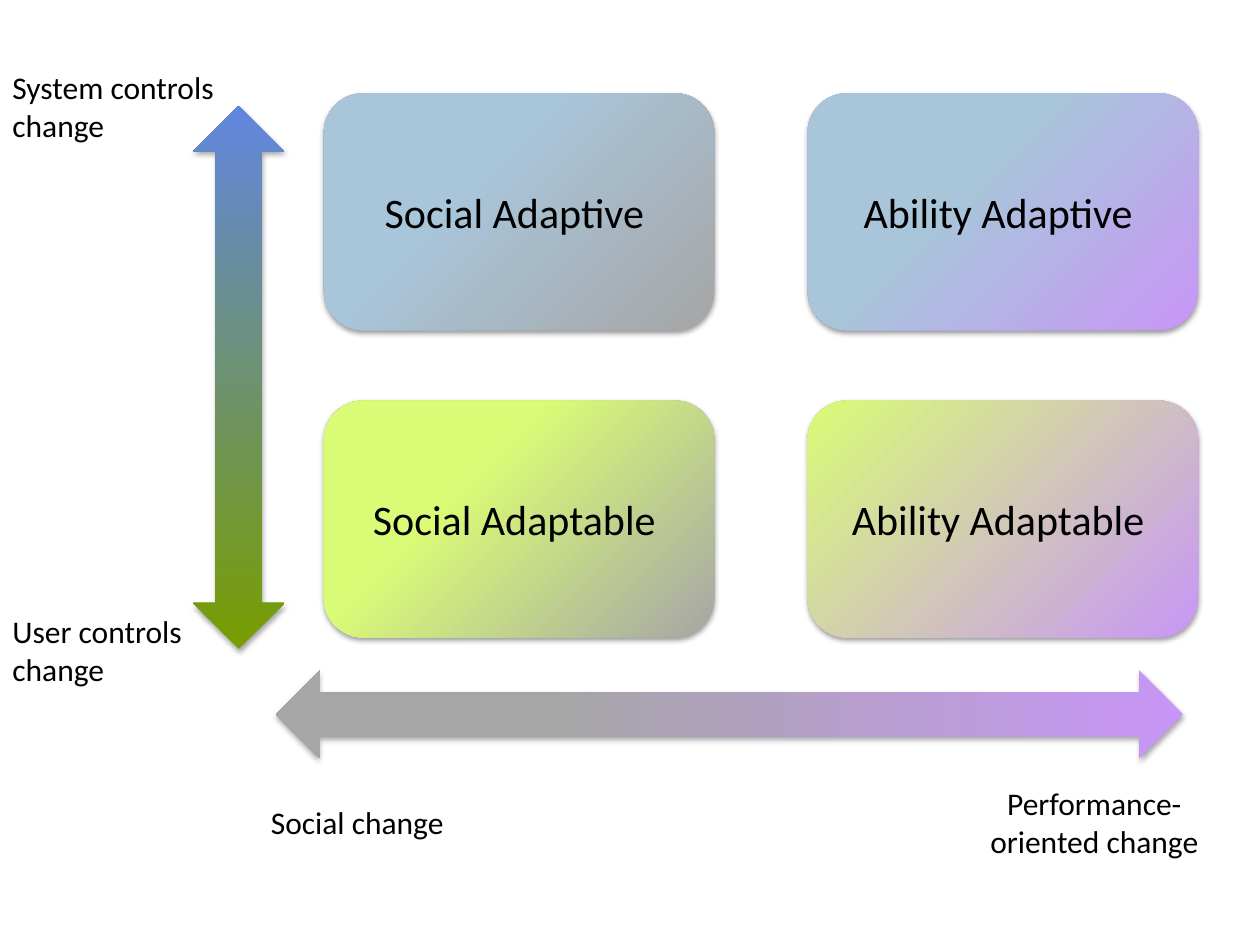
from dataclasses import dataclass
from typing import Optional

from pptx import Presentation
from pptx import util as u
from pptx.dml.color import RGBColor
from pptx.enum import shapes, text
from pptx.oxml import parse_xml
from pptx.oxml.ns import nsdecls

COLORS = {
    "black": "000000", "white": "FFFFFF", "sky": "A8C5DA", "gray": "A6A6A6",
    "lime": "DAFB76", "violet": "C896F6", "green": "779D00", "blue": "6286E0",
}
FONT = "Calibri"
SLIDE_W, SLIDE_H = u.Inches(10), u.Inches(7.5)
CARD_LEFT, CARD_TOP, CARD_W, CARD_H = 25.7, 9.87, 31, 25.07
COLUMN_STEP, ROW_STEP = 38.4, 32.53
LABEL_W, LABEL_H = 18.9, 8.27
CIRCLE = '<a:path path="circle"><a:fillToRect r="100000" b="100000"/></a:path>'


@dataclass
class Card:
    text: str
    column: int
    row: int
    start: str
    end: str
    start_stop: int


@dataclass
class Label:
    text: str
    left: float
    top: float
    align: text.PP_ALIGN
    fill: Optional[str] = None
    line: Optional[str] = None


@dataclass
class Arrow:
    kind: shapes.MSO_SHAPE
    box: tuple
    start: str
    end: str
    end_stop: int
    angle: int


CARDS = [
    Card("Social Adaptive ", 0, 0, "sky", "gray", 37),
    Card("Social Adaptable ", 0, 1, "lime", "gray", 35),
    Card("Ability Adaptable ", 1, 1, "lime", "violet", 0),
    Card("Ability Adaptive ", 1, 0, "sky", "violet", 40),
]
LABELS = [
    Label("System controls change", 0, 7.07, text.PP_ALIGN.LEFT),
    Label("User controls change", 0, 64.67, text.PP_ALIGN.LEFT, line="white"),
    Label("Social change", 18.9, 82.8, text.PP_ALIGN.CENTER, fill="white"),
    Label("Performance-oriented change", 77.4, 82.8, text.PP_ALIGN.CENTER, fill="white"),
]
ARROWS = [
    Arrow(shapes.MSO_SHAPE.UP_DOWN_ARROW, (15.3, 11.2, 7.3, 57.47), "green", "blue", 100, 270),
    Arrow(shapes.MSO_SHAPE.LEFT_RIGHT_ARROW, (21.9, 70.93, 72, 9.33), "violet", "gray", 70, 180),
]


def place(left: float, top: float, width: float, height: float) -> list:
    sides = ((left, SLIDE_W), (top, SLIDE_H), (width, SLIDE_W), (height, SLIDE_H))
    return [u.Emu(round(share * side / 100)) for share, side in sides]


def rgb(name: str) -> RGBColor:
    return RGBColor.from_string(COLORS[name])


def set_gradient(sp, stops: list, direction: str) -> None:
    sp.fill.solid()
    stop_xml = "".join(
        f'<a:gs pos="{pos * 1000}"><a:srgbClr val="{COLORS[name]}"/></a:gs>'
        for pos, name in stops)
    spPr = sp._element.spPr
    spPr.replace(spPr.solidFill, parse_xml(
        f'<a:gradFill {nsdecls("a")} rotWithShape="1">'
        f'<a:gsLst>{stop_xml}</a:gsLst>{direction}</a:gradFill>'))


def set_shadow(sp, opacity: int, distance: float) -> None:
    sp.shadow.inherit = False
    sp._element.spPr.effectLst.append(parse_xml(
        f'<a:outerShdw {nsdecls("a")} blurRad="{u.Pt(3.1)}" dist="{u.Pt(distance)}" '
        f'dir="5400000" rotWithShape="0"><a:srgbClr val="{COLORS["black"]}">'
        f'<a:alpha val="{opacity * 1000}"/></a:srgbClr></a:outerShdw>'))


def write(sp, words: str, size: int, align: text.PP_ALIGN) -> None:
    tf = sp.text_frame
    tf.word_wrap = True
    tf.vertical_anchor = text.MSO_ANCHOR.MIDDLE
    p = tf.paragraphs[0]
    p.text = words
    p.alignment = align
    p.font.name, p.font.size = FONT, u.Pt(size)
    p.font.color.rgb = rgb("black")


def draw_card(s, card: Card) -> None:
    box = place(CARD_LEFT + card.column * COLUMN_STEP,
                CARD_TOP + card.row * ROW_STEP, CARD_W, CARD_H)
    sp = s.shapes.add_shape(shapes.MSO_SHAPE.ROUNDED_RECTANGLE, *box)
    set_gradient(sp, [(card.start_stop, card.start), (100, card.end)], CIRCLE)
    sp.line.fill.background()
    set_shadow(sp, 38, 1.6)
    write(sp, card.text, 24, text.PP_ALIGN.CENTER)


def draw_label(s, label: Label) -> None:
    sp = s.shapes.add_textbox(*place(label.left, label.top, LABEL_W, LABEL_H))
    if label.fill:
        sp.fill.solid()
        sp.fill.fore_color.rgb = rgb(label.fill)
    if label.line:
        sp.line.color.rgb = rgb(label.line)
        sp.line.width = u.Pt(2)
    write(sp, label.text, 18, label.align)


def draw_arrow(s, arrow: Arrow) -> None:
    sp = s.shapes.add_shape(arrow.kind, *place(*arrow.box))
    set_gradient(sp, [(0, arrow.start), (arrow.end_stop, arrow.end)],
                 f'<a:lin ang="{arrow.angle * 60000}" scaled="0"/>')
    sp.line.fill.background()
    set_shadow(sp, 35, 1.8)


def main() -> None:
    prs = Presentation()
    prs.slide_width, prs.slide_height = SLIDE_W, SLIDE_H
    s = prs.slides.add_slide(prs.slide_layouts[6])
    for card in CARDS:
        draw_card(s, card)
    for label in LABELS:
        draw_label(s, label)
    for arrow in ARROWS:
        draw_arrow(s, arrow)
    prs.save("out.pptx")


if __name__ == "__main__":
    main()
